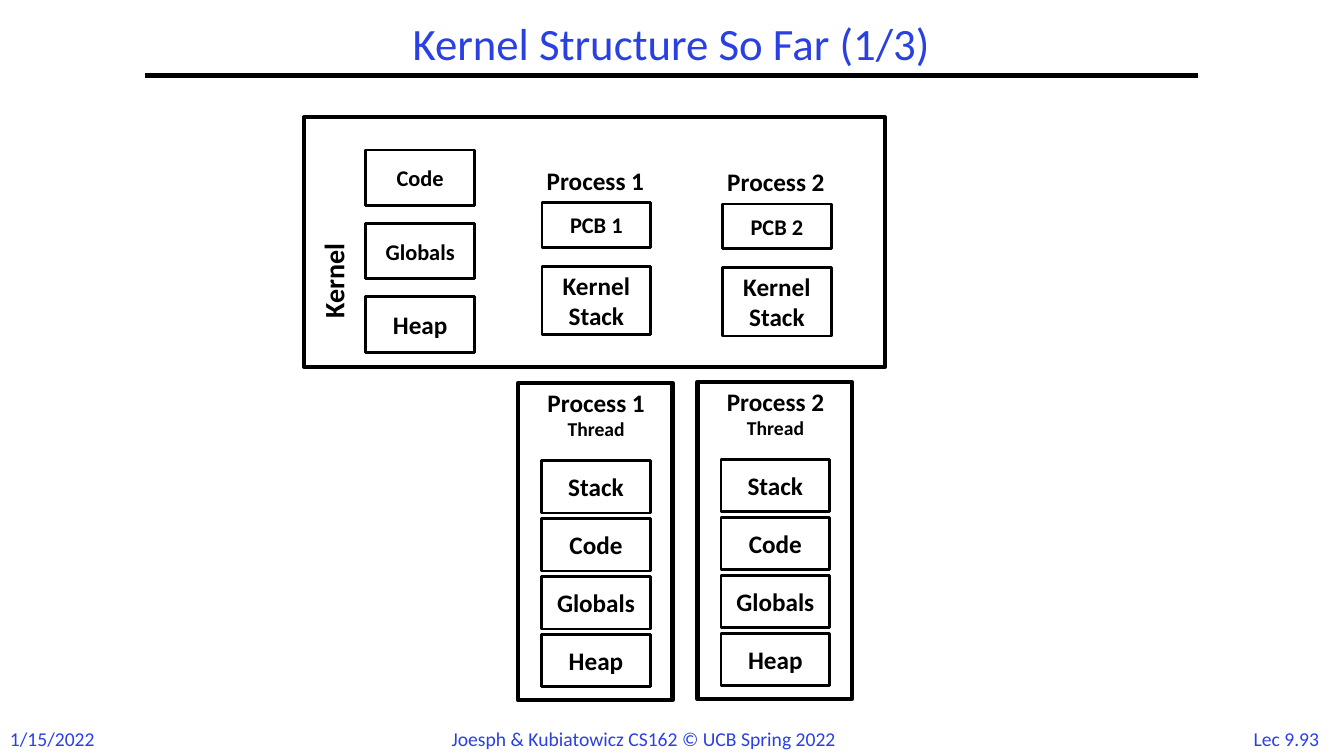
from lxml.etree import SubElement
from pptx import Presentation
from pptx.dml.color import RGBColor
from pptx.enum.shapes import MSO_CONNECTOR, MSO_SHAPE
from pptx.enum.text import MSO_ANCHOR, PP_ALIGN
from pptx.oxml.ns import qn
from pptx.util import Cm, Pt

COLORS = {"title": "2A40E2", "ink": "000000"}
BOX_WIDTH = 2.74


def write_text(shape, text, sizes, color="ink", bold=True, align=PP_ALIGN.CENTER, wrap=True):
    frame = shape.text_frame
    frame.word_wrap = wrap
    paragraph = frame.paragraphs[0]
    paragraph.text = text
    paragraph.alignment = align
    for index, run in enumerate(paragraph.runs):
        font_format = {"name": "Calibri", "size": Pt(sizes[min(index, len(sizes) - 1)]), "bold": bold}
        for attribute, value in font_format.items():
            setattr(run.font, attribute, value)
        run.font.color.rgb = RGBColor.from_string(COLORS[color])
    return paragraph


def add_box(left, top, width, height, line_width=2, text="", size=18):
    shape = slide.shapes.add_shape(MSO_SHAPE.RECTANGLE, Cm(left), Cm(top), Cm(width), Cm(height))
    shape.shadow.inherit = False
    shape.fill.background()
    shape.line.color.rgb = RGBColor.from_string(COLORS["ink"])
    shape.line.width = Pt(line_width)
    if text:
        shape.text_frame.vertical_anchor = MSO_ANCHOR.MIDDLE
        write_text(shape, text, [size])


presentation = Presentation()
presentation.slide_width = Cm(33.87)
presentation.slide_height = Cm(19.05)
slide = presentation.slides.add_slide(presentation.slide_layouts[5])

title = slide.shapes.title
title_format = {"left": Cm(3.66), "top": Cm(0.43), "width": Cm(26.52), "height": Cm(1.47)}
for attribute, value in title_format.items():
    setattr(title, attribute, value)
title.text_frame.vertical_anchor = MSO_ANCHOR.MIDDLE
title_paragraph = write_text(title, "Kernel Structure So Far (1/3)", [32], "title", False)
title_paragraph.line_spacing = 0.9

rule = slide.shapes.add_connector(MSO_CONNECTOR.STRAIGHT, Cm(3.66), Cm(1.9), Cm(30.2), Cm(1.9))
rule.line.color.rgb = RGBColor.from_string(COLORS["ink"])
rule.line.width = Pt(3)
SubElement(rule._element.spPr, qn("a:effectLst"))

footers = [
    ("1/15/2022", 0, 2.72, PP_ALIGN.LEFT),
    ("Joesph & Kubiatowicz CS162 © UCB Spring 2022", 11.13, 11.56, PP_ALIGN.LEFT),
    ("Lec 9.93", 31.19, 2.46, PP_ALIGN.CENTER),
]
for text, left, width, align in footers:
    footer = slide.shapes.add_textbox(Cm(left), Cm(18.19), Cm(width), Cm(0.86))
    write_text(footer, text, [14], "title", False, align, False)

add_box(7.67, 2.95, 14.63, 6.3, 3)
kernel_label = slide.shapes.add_textbox(Cm(7.85), Cm(4.01), Cm(1.37), Cm(4.27))
write_text(kernel_label, "Kernel", [20], align=PP_ALIGN.LEFT)
kernel_label.text_frame._txBody.bodyPr.set("vert", "vert270")

for row, (text, size) in enumerate([("Code", 16), ("Globals", 16), ("Heap", 18)]):
    add_box(9.22, 3.78 + row * 1.85, BOX_WIDTH, 1.4, text=text, size=size)

for column in range(2):
    number = column + 1
    kernel_left = 13.66 + column * 4.55
    kernel_shift = column * 0.03
    process_label = slide.shapes.add_textbox(
        Cm(kernel_left - 0.42), Cm(4.04 + kernel_shift), Cm(3.53), Cm(1.02))
    write_text(process_label, f"Process {number}", [18], wrap=False)
    add_box(kernel_left, 5.11 + kernel_shift, BOX_WIDTH, 1.12, text=f"PCB {number}", size=16)
    add_box(kernel_left, 6.71 + kernel_shift, BOX_WIDTH, 1.73, text="Kernel\nStack")

    user_left = 13.06 + column * 4.52
    user_top = 9.65 - column * 0.03
    add_box(user_left, user_top, 3.89, 8, 3)
    thread_label = slide.shapes.add_textbox(Cm(user_left + 0.2), Cm(user_top - 0.02), Cm(3.53), Cm(1.63))
    write_text(thread_label, f"Process {number}\nThread", [18, 14], wrap=False)
    for row, text in enumerate(["Stack", "Code", "Globals", "Heap"]):
        add_box(user_left + 0.59, user_top + 1.96 + row * 1.46, BOX_WIDTH, 1.32, text=text)

presentation.save("out.pptx")
